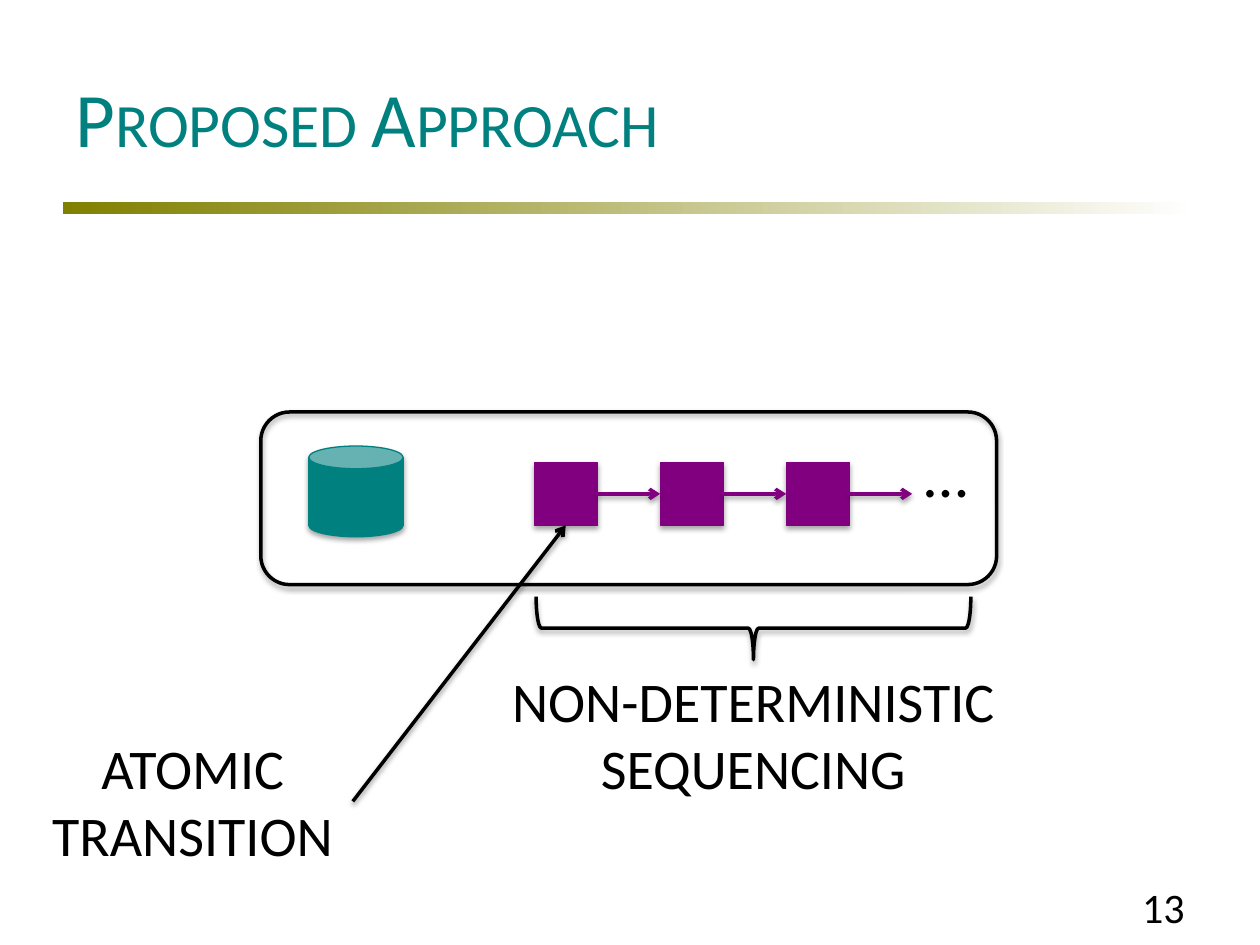
from dataclasses import dataclass

from pptx import Presentation
from pptx.dml.color import RGBColor
from pptx.enum.shapes import MSO_CONNECTOR, MSO_SHAPE
from pptx.enum.text import MSO_ANCHOR, PP_ALIGN
from pptx.oxml import parse_xml
from pptx.oxml.ns import nsdecls
from pptx.util import Emu, Pt

LEFT, CENTER, RIGHT = PP_ALIGN.LEFT, PP_ALIGN.CENTER, PP_ALIGN.RIGHT
MIDDLE = MSO_ANCHOR.MIDDLE
STRAIGHT = MSO_CONNECTOR.STRAIGHT
RECT, ROUNDED = MSO_SHAPE.RECTANGLE, MSO_SHAPE.ROUNDED_RECTANGLE
CAN, BRACE = MSO_SHAPE.CAN, MSO_SHAPE.LEFT_BRACE
SIDE_LEFT, SIDE_BOTTOM, SIDE_RIGHT = 1, 2, 3
EMU_PER_PX = 9144


@dataclass(frozen=True)
class Theme:
    font: str = "Calibri"
    ink: str = "000000"
    teal: str = "00807F"
    purple: str = "80007F"
    olive: str = "808000"
    paper: str = "FFFFFF"
    title: int = 44
    ellipsis: int = 36
    label: int = 32
    number: int = 24
    heavy: float = 2
    thin: float = 0.75


def px(*lengths):
    return [Emu(length * EMU_PER_PX) for length in lengths]


class SlideBuilder:
    def __init__(self, slide, theme):
        self.slide = slide
        self.shapes = slide.shapes
        self.theme = theme

    def style(self, paragraph, size, color, align):
        paragraph.alignment = align
        paragraph.font.name = self.theme.font
        paragraph.font.size = Pt(size)
        paragraph.font.color.rgb = RGBColor.from_string(color)

    def add_shadow(self, shape, opacity, distance):
        shape._element.spPr.append(parse_xml(
            f'<a:effectLst {nsdecls("a")}><a:outerShdw blurRad="{Pt(3.1)}" '
            f'dist="{Pt(distance)}" dir="5400000" rotWithShape="0">'
            f'<a:srgbClr val="{self.theme.ink}"><a:alpha val="{opacity * 1000}"/>'
            '</a:srgbClr></a:outerShdw></a:effectLst>'))

    def title(self, text, box):
        heading = self.shapes.title
        heading.left, heading.top, heading.width, heading.height = px(*box)
        heading.text_frame.text = text
        heading.text_frame.vertical_anchor = MIDDLE
        paragraph = heading.text_frame.paragraphs[0]
        self.style(paragraph, self.theme.title, self.theme.teal, LEFT)
        paragraph.runs[0]._r.get_or_add_rPr().set("cap", "small")

    def rule(self, box):
        bar = self.shapes.add_shape(RECT, *px(*box))
        bar.shadow.inherit = False
        bar.line.fill.background()
        bar.fill.gradient()
        bar.fill.gradient_angle = 0
        for stop, color in zip(bar.fill.gradient_stops, (self.theme.olive, self.theme.paper)):
            stop.color.rgb = RGBColor.from_string(color)

    def text(self, content, box, size, align):
        label = self.shapes.add_textbox(*px(*box))
        label.text_frame.word_wrap = True
        label.text_frame.text = content
        for paragraph in label.text_frame.paragraphs:
            self.style(paragraph, size, self.theme.ink, align)
        return label

    def solid(self, kind, box, color):
        shape = self.shapes.add_shape(kind, *px(*box))
        shape.fill.solid()
        shape.fill.fore_color.rgb = RGBColor.from_string(color)
        shape.line.color.rgb = RGBColor.from_string(color)
        shape.line.width = Pt(self.theme.thin)
        self.add_shadow(shape, 35, 1.8)
        return shape

    def outline(self, kind, box, rotation=0):
        shape = self.shapes.add_shape(kind, *px(*box))
        shape.rotation = rotation
        shape.fill.background()
        shape.line.color.rgb = RGBColor.from_string(self.theme.ink)
        shape.line.width = Pt(self.theme.heavy)
        self.add_shadow(shape, 35, 1.8)

    def arrow(self, points, color, source, source_side, target=None, target_side=None):
        arrow = self.shapes.add_connector(STRAIGHT, *px(*points))
        arrow.begin_connect(source, source_side)
        if target is not None:
            arrow.end_connect(target, target_side)
        arrow.line.color.rgb = RGBColor.from_string(color)
        arrow.line.width = Pt(self.theme.heavy)
        arrow.line._get_or_add_ln().append(
            parse_xml(f'<a:tailEnd {nsdecls("a")} type="arrow"/>'))
        self.add_shadow(arrow, 38, 1.6)


def main():
    theme = Theme()
    deck = Presentation()
    deck.slide_width, deck.slide_height = px(1000, 750)
    builder = SlideBuilder(deck.slides.add_slide(deck.slide_layouts[5]), theme)

    builder.rule((50, 160, 900, 10))
    builder.title("Proposed Approach", (50, 30, 900, 125))
    builder.text("13", (717, 695, 233, 40), theme.number, RIGHT)

    atomic = builder.text("ATOMIC\nTRANSITION", (26, 577, 254, 118), theme.label, CENTER)
    builder.outline(BRACE, (573, 326, 50, 345), 270)
    builder.text("NON-DETERMINISTIC\nSEQUENCING", (378, 524, 440, 118), theme.label, CENTER)

    builder.outline(ROUNDED, (207, 327, 584, 137))
    builder.solid(CAN, (245, 354, 75, 72), theme.teal)

    side, pitch, first_left, top = 50, 100, 424, 367
    middle = top + side // 2
    lefts = [first_left + pitch * i for i in range(3)]
    steps = [builder.solid(RECT, (left, top, side, side), theme.purple) for left in lefts]
    for left, step, following in zip(lefts, steps, steps[1:] + [None]):
        builder.arrow((left + side, middle, left + pitch, middle), theme.purple,
                      step, SIDE_RIGHT, following, SIDE_LEFT)
    builder.text("…", (724, 340, 68, 71), theme.ellipsis, LEFT)
    builder.arrow((280, 636, first_left + side // 2, top + side), theme.ink,
                  atomic, SIDE_RIGHT, steps[0], SIDE_BOTTOM)

    deck.save("out.pptx")


if __name__ == "__main__":
    main()
